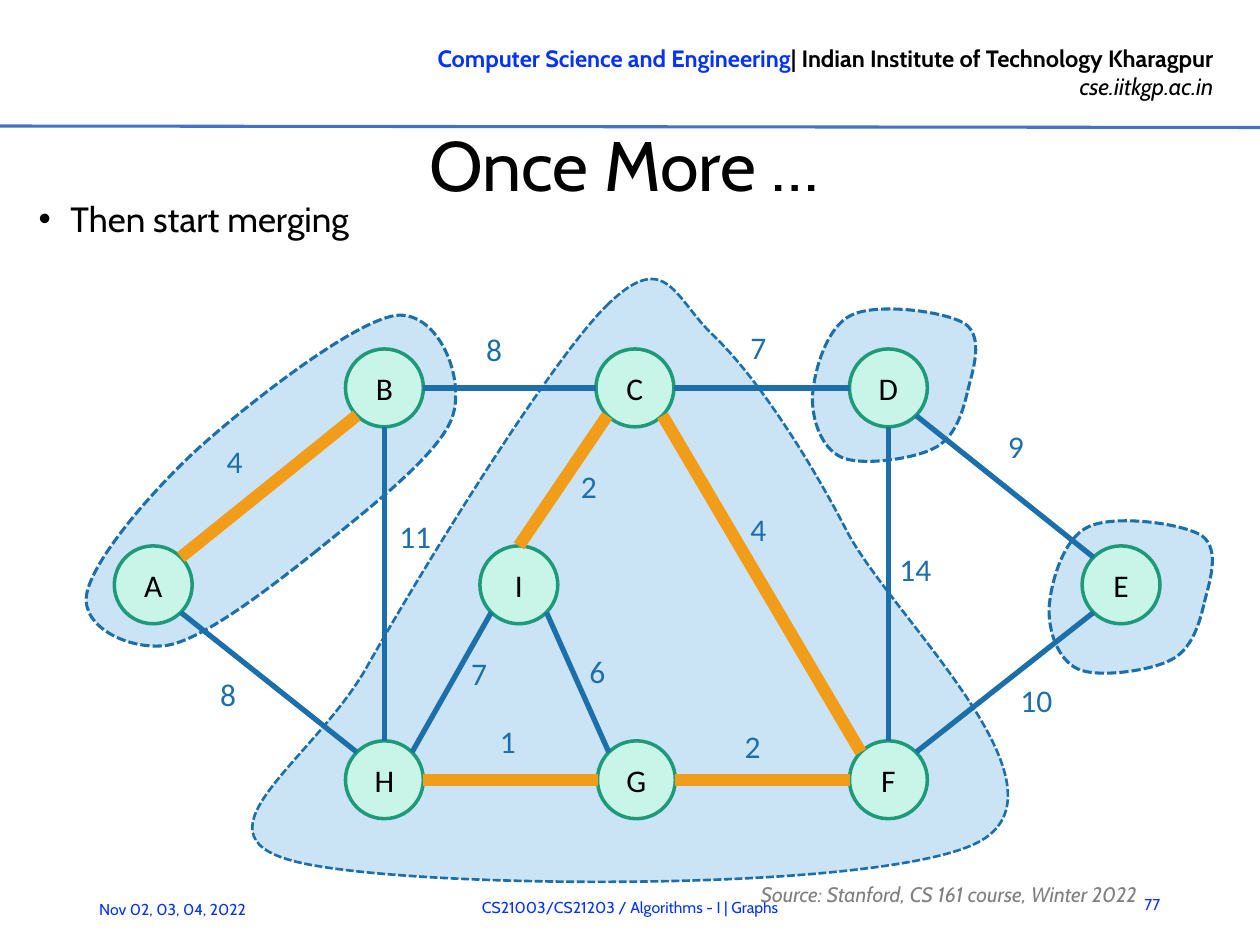
import math
from lxml import etree
from pptx import Presentation
from pptx import util as u
from pptx.dml.color import RGBColor
from pptx.enum import dml, shapes, text
from pptx.oxml.ns import qn

BLUE, ORANGE, GREEN = "1D6FA9", "F19D19", "1D9A78"
MINT, SKY, LINK, BLACK = "C8F5E8", "CAE4F6", "0432FF", "000000"
LEFT, CENTER, RIGHT = text.PP_ALIGN.LEFT, text.PP_ALIGN.CENTER, text.PP_ALIGN.RIGHT
TOP, MIDDLE = text.MSO_ANCHOR.TOP, text.MSO_ANCHOR.MIDDLE


def color(value):
    return RGBColor.from_string(value)


def write(sp, runs, align=LEFT, anchor=TOP, new_paragraph=False):
    """Add runs of (text, hex colour, font format) as one paragraph."""
    tf = sp.text_frame
    tf.word_wrap = True
    tf.vertical_anchor = anchor
    p = tf.add_paragraph() if new_paragraph else tf.paragraphs[0]
    p.alignment = align
    for words, ink, fmt in runs:
        r = p.add_run()
        r.text = words
        r.font.color.rgb = color(ink)
        for key, value in fmt.items():
            setattr(r.font, key, value)
    return p


prs = Presentation()
prs.slide_width, prs.slide_height = u.Cm(25.4), u.Cm(19.05)
s = prs.slides.add_slide(prs.slide_layouts[6])

# Formats
head = {"name": "Cabin", "size": u.Pt(13.5)}
small = {"name": "Cabin", "size": u.Pt(9)}
graph = {"name": "Calibri", "size": u.Pt(18)}

# Header
sp = s.shapes.add_textbox(u.Cm(6.73), u.Cm(0.76), u.Cm(17.98), u.Cm(1.42))
write(sp, [("Computer Science and Engineering", LINK, {**head, "bold": True}),
           ("| Indian Institute of Technology Kharagpur", BLACK, {**head, "bold": True})], RIGHT)
write(sp, [("cse.iitkgp.ac.in", BLACK, {**head, "italic": True})], RIGHT, new_paragraph=True)

# Title
sp = s.shapes.add_textbox(u.Cm(0.81), u.Cm(2.41), u.Cm(23.52), u.Cm(1.73))
for side, gap in {"left": 0.03, "top": 0.03, "right": 0, "bottom": 0}.items():
    setattr(sp.text_frame, "margin_" + side, u.Cm(gap))
write(sp, [("Once More …", BLACK, {"name": "Cabin", "size": u.Pt(40)})], CENTER, MIDDLE)

# Footer: text, alignment, left, top, width, bottom margin
for words, align, x, y, w, bottom in [
    ("77", RIGHT, 22.4, 17.73, 1.24, 0.13),
    ("Nov 02, 03, 04, 2022", LEFT, 1.75, 18.03, 4.45, 0.53),
    ("CS21003/CS21203 / Algorithms - I | Graphs", CENTER, 4.19, 17.78, 17.02, 0.13),
]:
    sp = s.shapes.add_textbox(u.Cm(x), u.Cm(y), u.Cm(w), u.Cm(1.02))
    sp.text_frame.margin_bottom = u.Cm(bottom)
    write(sp, [(words, LINK, small)], align, MIDDLE)

# Source note
sp = s.shapes.add_textbox(u.Cm(15.09), u.Cm(17.61), u.Cm(10.21), u.Cm(0.58))
p = write(sp, [("Source: Stanford, CS 161 course, Winter 2022", "808080",
                {"name": "Cabin", "size": u.Pt(12), "italic": True})], LEFT, MIDDLE)
p.line_spacing = u.Pt(21.3)

# Bullet
sp = s.shapes.add_textbox(u.Cm(0.53), u.Cm(4.1), u.Cm(23.8), u.Cm(1.02))
p = write(sp, [("Then start merging", BLACK, {"name": "Cabin", "size": u.Pt(20)})])
pPr = p._p.get_or_add_pPr()
pPr.set("marL", str(u.Cm(0.64)))
pPr.set("indent", str(-u.Cm(0.64)))
etree.SubElement(pPr, qn("a:buFont")).set("typeface", "Arial")
etree.SubElement(pPr, qn("a:buChar")).set("char", "•")
p.line_spacing = u.Pt(17)

# Merged components: closed chains of cubic curves, three points a piece
triangle = [
    (12.27, 6.12), (11.1, 7.24), (8.43, 11.61), (7.37, 13.49), (6.3, 15.34), (3.81, 16.79),
    (5.89, 17.35), (7.98, 17.93), (17.93, 18.03), (19.79, 16.94), (21.67, 15.82), (18.01, 12.45),
    (17.09, 10.74), (16.21, 9.04), (15.19, 7.54), (14.4, 6.78), (13.59, 6.02), (13.44, 5)]
single_d = [
    (19.51, 7.87), (19.61, 7.47), (19.84, 6.81), (19.46, 6.53), (19.05, 6.27), (17.68, 6.1),
    (17.17, 6.35), (16.66, 6.58), (16.41, 7.49), (16.38, 7.98), (16.36, 8.46), (16.56, 9.04),
    (16.97, 9.22), (17.37, 9.4), (18.42, 9.25), (18.82, 9.04), (19.25, 8.84), (19.41, 8.31)]
single_e = [(x + 4.77, y + 4.27) for x, y in single_d]
pair_ab = [
    (6.32, 11.15), (7.29, 10.36), (8.84, 9.19), (9.12, 8.41), (9.4, 7.62), (8.84, 6.25),
    (7.98, 6.35), (7.11, 6.48), (5, 8.13), (3.96, 9.07), (2.95, 10.01), (1.85, 11.33),
    (1.75, 11.99), (1.65, 12.65), (2.64, 13.11), (3.38, 13), (4.09, 12.88), (5.36, 11.91)]
# The pair is stored upright and turned about its centre
TURN, CX, CY = 46.6, 5.55, 9.84
cos, sin = math.cos(math.radians(TURN)), math.sin(math.radians(TURN))
pair_ab = [(CX + (x - CX) * cos + (y - CY) * sin, CY - (x - CX) * sin + (y - CY) * cos)
           for x, y in pair_ab]
for outline, width, turn in [(triangle, 1.5, 0), (single_e, 1.75, 0),
                             (single_d, 1.75, 0), (pair_ab, 1.75, TURN)]:
    closed = [(u.Cm(x), u.Cm(y)) for x, y in outline + outline[:1]]
    builder = s.shapes.build_freeform(*closed[0])
    builder.add_line_segments(closed[1:], close=True)
    sp = builder.convert_to_shape()
    # Frame the curve itself, not its control points
    low, size = [], []
    for axis in (0, 1):
        reach = [(1 - t) ** 3 * a + 3 * t * (1 - t) ** 2 * b + 3 * t * t * (1 - t) * c + t ** 3 * d
                 for i in range(0, len(outline), 3)
                 for a, b, c, d in [[q[axis] for q in closed[i:i + 4]]]
                 for t in (k / 50 for k in range(51))]
        low.append(int(min(reach)))
        size.append(int(max(reach) - min(reach)))
    outline_xml = sp._element.spPr.find(".//" + qn("a:path"))
    for key, value in zip("wh", size):
        outline_xml.set(key, str(value))
    for pt, point in zip(outline_xml.iter(qn("a:pt")), closed):
        for key, value, origin in zip("xy", point, low):
            pt.set(key, str(value - origin))
    sp.left, sp.top, sp.width, sp.height = *low, *size
    # Join each three segments into one cubic curve
    segments = outline_xml.findall(qn("a:lnTo"))
    for i in range(0, len(segments), 3):
        curve = etree.Element(qn("a:cubicBezTo"))
        segments[i].addprevious(curve)
        for segment in segments[i:i + 3]:
            curve.append(segment[0])
            outline_xml.remove(segment)
    sp.rotation = turn
    sp.shadow.inherit = False
    sp.fill.solid()
    sp.fill.fore_color.rgb = color(SKY)
    sp.line.color.rgb = color(BLUE)
    sp.line.width = u.Pt(width)
    sp.line.dash_style = dml.MSO_LINE.SQUARE_DOT

# Nodes, by centre
R = 0.785
nodes = {
    "D": (17.91, 7.82), "C": (12.8, 7.82), "B": (7.75, 7.82), "A": (3.09, 11.79),
    "H": (7.75, 15.72), "G": (12.83, 15.72), "F": (17.91, 15.72),
    "I": (10.46, 11.79), "E": (22.6, 11.79)}
for name, (x, y) in nodes.items():
    sp = s.shapes.add_shape(shapes.MSO_SHAPE.OVAL, u.Cm(x - R), u.Cm(y - R), u.Cm(2 * R), u.Cm(2 * R))
    sp.shadow.inherit = False
    sp.fill.solid()
    sp.fill.fore_color.rgb = color(MINT)
    sp.line.color.rgb = color(GREEN)
    sp.line.width = u.Pt(2)
    write(sp, [(name, BLACK, graph)], CENTER, MIDDLE)

# Edges: node and rim direction at each end, weight, label corner, chosen
rim = {"n": (0, -1), "s": (0, 1), "w": (-1, 0), "e": (1, 0),
       "nw": (-0.71, -0.71), "ne": (0.71, -0.71), "sw": (-0.71, 0.71), "se": (0.71, 0.71)}
edges = [
    ("C", "se", "F", "nw", "4", 14.88, 10.16, True),
    ("C", "e", "D", "w", "7", 14.88, 6.48, False),
    ("E", "nw", "D", "se", "9", 20.07, 8.48, False),
    ("E", "sw", "F", "ne", "10", 20.32, 13.61, False),
    ("D", "s", "F", "n", "14", 17.88, 10.97, False),
    ("I", "se", "G", "nw", "6", 11.63, 13.01, False),
    ("G", "e", "F", "w", "2", 14.76, 14.53, True),
    ("I", "n", "C", "sw", "2", 11.46, 9.3, True),
    ("B", "e", "C", "w", "8", 9.55, 6.52, False),
    ("A", "ne", "B", "sw", "4", 4.32, 8.79, True),
    ("A", "se", "H", "nw", "8", 4.19, 13.49, False),
    ("G", "w", "H", "e", "1", 9.83, 14.43, True),
    ("I", "sw", "H", "ne", "7", 9.25, 13.06, False),
    ("H", "n", "B", "s", "11", 7.8, 10.29, False)]
lines = [(0, 2.54, 25.4, 2.57, "4472C4", 1.75)]  # header rule
for a, a_side, b, b_side, weight, x, y, chosen in edges:
    ends = [nodes[n][axis] + R * rim[side][axis]
            for n, side in ((a, a_side), (b, b_side)) for axis in (0, 1)]
    lines.append((*ends, ORANGE if chosen else BLUE, 7 if chosen else 3))
for *ends, ink, width in lines:
    line = s.shapes.add_connector(shapes.MSO_CONNECTOR.STRAIGHT, *map(u.Cm, ends))
    line.line.color.rgb = color(ink)
    line.line.width = u.Pt(width)
    etree.SubElement(line._element.spPr, qn("a:effectLst"))

# Edge weights
for *_, weight, x, y, chosen in edges:
    sp = s.shapes.add_textbox(u.Cm(x), u.Cm(y), u.Cm(2.18), u.Cm(1.27))
    write(sp, [(weight, BLUE, graph)])

prs.save("out.pptx")
